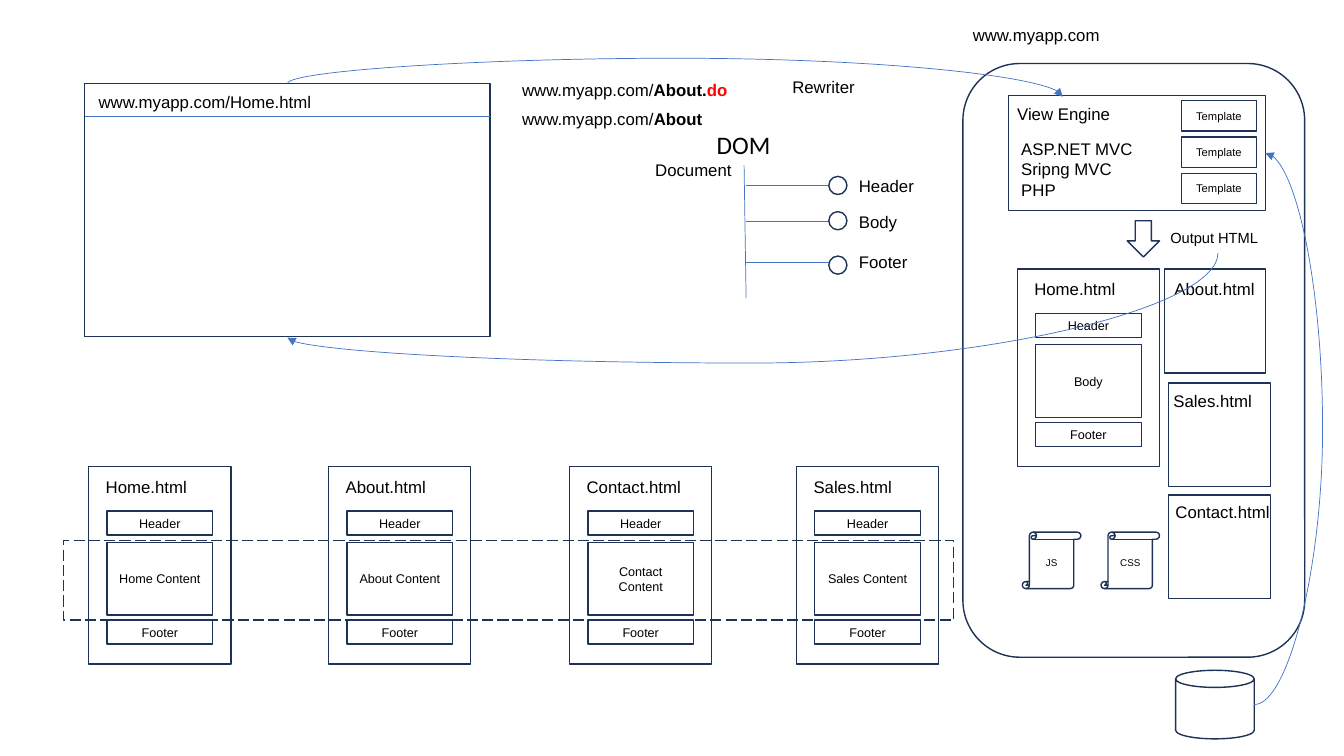
from math import cos, radians, sin

from pptx import Presentation
from pptx.dml.color import RGBColor
from pptx.enum.dml import MSO_LINE
from pptx.enum.shapes import MSO_CONNECTOR, MSO_SHAPE
from pptx.enum.text import MSO_ANCHOR, MSO_AUTO_SIZE, PP_ALIGN
from pptx.oxml.ns import qn
from pptx.util import Inches, Pt
from lxml.etree import SubElement

NAVY, BLUE, BLACK, RED = "1E3256", "4472C4", "000000", "FF0000"
NAME_WIDTHS = {"Home.html": 1.01, "About.html": 1, "Contact.html": 1.15, "Sales.html": 0.99}


def rgb(hex_color):
    return RGBColor.from_string(hex_color)


def add_run(paragraph, text, size, font="Arial", bold=None, color=BLACK):
    run = paragraph.add_run()
    run.text = text
    run.font.size = Pt(size)
    run.font.name = font
    run.font.bold = bold
    run.font.color.rgb = rgb(color)


def outline(slide, kind, left, top, width, height, text="", size=9):
    """Add an unfilled preset shape with an optional centred caption."""
    shape = slide.shapes.add_shape(
        kind, Inches(left), Inches(top), Inches(width), Inches(height))
    shape.shadow.inherit = False
    shape.fill.background()
    shape.line.color.rgb = rgb(NAVY)
    shape.line.width = Pt(1)
    if text:
        shape.text_frame.vertical_anchor = MSO_ANCHOR.MIDDLE
        caption = shape.text_frame.paragraphs[0]
        caption.alignment = PP_ALIGN.CENTER
        add_run(caption, text, size)
    return shape


def box(slide, *place_and_text, **options):
    return outline(slide, MSO_SHAPE.RECTANGLE, *place_and_text, **options)


def label(slide, left, top, width, *lines, height=0.3, size=12, font="Arial"):
    """Add free text; a line is a string or a list of (text, bold, colour) runs."""
    frame = slide.shapes.add_textbox(
        Inches(left), Inches(top), Inches(width), Inches(height)).text_frame
    frame.word_wrap = False
    frame.auto_size = MSO_AUTO_SIZE.SHAPE_TO_FIT_TEXT
    for index, line in enumerate(lines):
        paragraph = frame.add_paragraph() if index else frame.paragraphs[0]
        runs = [(line, None, BLACK)] if isinstance(line, str) else line
        for text, bold, color in runs:
            add_run(paragraph, text, size, font, bold, color)


def connect(slide, start, end, kind=MSO_CONNECTOR.STRAIGHT):
    line = slide.shapes.add_connector(kind, *(Inches(v) for v in (*start, *end)))
    line.line.color.rgb = rgb(BLUE)
    line.line.width = Pt(0.5)
    SubElement(line._element.spPr, qn("a:effectLst"))
    return line


def curved_arrow(slide, start, end, turn, bend):
    """Bow from start to end, leaving at `turn` degrees; bend is a share of the span."""
    middle_x, middle_y = (start[0] + end[0]) / 2, (start[1] + end[1]) / 2
    c, s = cos(radians(turn)), sin(radians(turn))
    dx, dy = start[0] - middle_x, start[1] - middle_y
    u, v = dx * c + dy * s, dy * c - dx * s
    arrow = connect(slide, (middle_x + u, middle_y + v),
                    (middle_x - u, middle_y - v), MSO_CONNECTOR.CURVE)
    arrow.rotation = turn
    properties = arrow._element.spPr
    adjustments = properties.find(qn("a:prstGeom")).get_or_add_avLst()
    SubElement(adjustments, qn("a:gd"), name="adj1", fmla=f"val {round(bend * 100000)}")
    SubElement(properties.find(qn("a:ln")), qn("a:tailEnd"), type="triangle")


def page_card(slide, left, top, name, body):
    box(slide, left, top, 1.41, 1.96)
    label(slide, left + 0.07, top + 0.05, NAME_WIDTHS[name], name)
    for offset, height, text in ((0.44, 0.24, "Header"), (0.75, 0.72, body),
                                 (1.52, 0.24, "Footer")):
        box(slide, left + 0.18, top + offset, 1.05, height, text)


def draw_browser(slide):
    box(slide, 0.84, 0.83, 4.02, 2.51)
    connect(slide, (0.84, 1.15), (4.86, 1.15))
    label(slide, 0.88, 0.86, 2.33, "www.myapp.com/Home.html")


def draw_rewriter(slide):
    site = ("www.myapp.com/", None, BLACK)
    label(slide, 5.08, 0.74, 2.26, [site, ("About.", True, BLACK), ("do", True, RED)])
    label(slide, 5.08, 1.03, 2.05, [site, ("About", True, BLACK)])
    label(slide, 7.76, 0.71, 0.83, "Rewriter")


def draw_dom(slide):
    label(slide, 7.01, 1.23, 0.74, "DOM", height=0.4, size=18, font="Calibri")
    label(slide, 6.4, 1.54, 0.97, "Document")
    connect(slide, (7.38, 1.64), (7.4, 2.96))
    for node, width, branch_y, circle_top, text_top in (
            ("Header", 0.75, 1.84, 1.75, 1.69),
            ("Body", 0.58, 2.2, 2.1, 2.05),
            ("Footer", 0.69, 2.6, 2.54, 2.45)):
        connect(slide, (7.4, branch_y), (8.22, branch_y))
        outline(slide, MSO_SHAPE.OVAL, 8.22, circle_top, 0.18, 0.18)
        label(slide, 8.42, text_top, width, node)


def draw_server(slide):
    outline(slide, MSO_SHAPE.ROUNDED_RECTANGLE, 9.55, 0.63, 3.39, 5.89)
    label(slide, 9.55, 0.2, 1.47, "www.myapp.com")

    box(slide, 10, 0.95, 2.55, 1.14)
    label(slide, 9.99, 0.98, 1.13, "View Engine")
    label(slide, 10.03, 1.33, 1.32, "ASP.NET MVC", "Sripng MVC", "PHP", height=0.71)
    for row in range(3):
        box(slide, 11.72, 1 + row * 0.36, 0.74, 0.3, "Template", size=8)

    outline(slide, MSO_SHAPE.DOWN_ARROW, 11.18, 2.19, 0.32, 0.36)
    label(slide, 11.51, 2.22, 1.13, "Output HTML", height=0.29, size=10.5)

    page_card(slide, 10.09, 2.67, "Home.html", "Body")
    for name, left, top, width, text_left, text_top in (
            ("About.html", 11.55, 2.67, 1, 11.55, 2.72),
            ("Sales.html", 11.59, 3.8, 1.01, 11.54, 3.83),
            ("Contact.html", 11.59, 4.91, 1.01, 11.56, 4.93)):
        box(slide, left, top, width, 1.03)
        label(slide, text_left, text_top, NAME_WIDTHS[name], name)

    for left, asset in ((10.14, "JS"), (10.92, "CSS")):
        outline(slide, MSO_SHAPE.VERTICAL_SCROLL, left, 5.28, 0.58, 0.56, asset, size=7)
    outline(slide, MSO_SHAPE.CAN, 11.66, 6.65, 0.78, 0.68)


def draw_site_pages(slide):
    for left, page in ((0.88, "Home"), (3.26, "About"), (5.65, "Contact"), (7.9, "Sales")):
        page_card(slide, left, 4.63, f"{page}.html", f"{page} Content")
    content_band = box(slide, 0.63, 5.36, 8.83, 0.79)
    content_band.line.dash_style = MSO_LINE.LONG_DASH


def draw_flows(slide):
    curved_arrow(slide, (2.85, 0.83), (10.54, 0.96), 270, -1.94)
    curved_arrow(slide, (12.08, 2.51), (2.85, 3.35), 90, 1.3)
    curved_arrow(slide, (12.44, 6.99), (12.55, 1.52), 0, 6.17)


def main():
    deck = Presentation()
    deck.slide_width, deck.slide_height = Inches(13.33), Inches(7.5)
    slide = deck.slides.add_slide(deck.slide_layouts[6])
    draw_browser(slide)
    draw_server(slide)
    draw_dom(slide)
    draw_rewriter(slide)
    draw_site_pages(slide)
    draw_flows(slide)
    deck.save("out.pptx")


if __name__ == "__main__":
    main()
